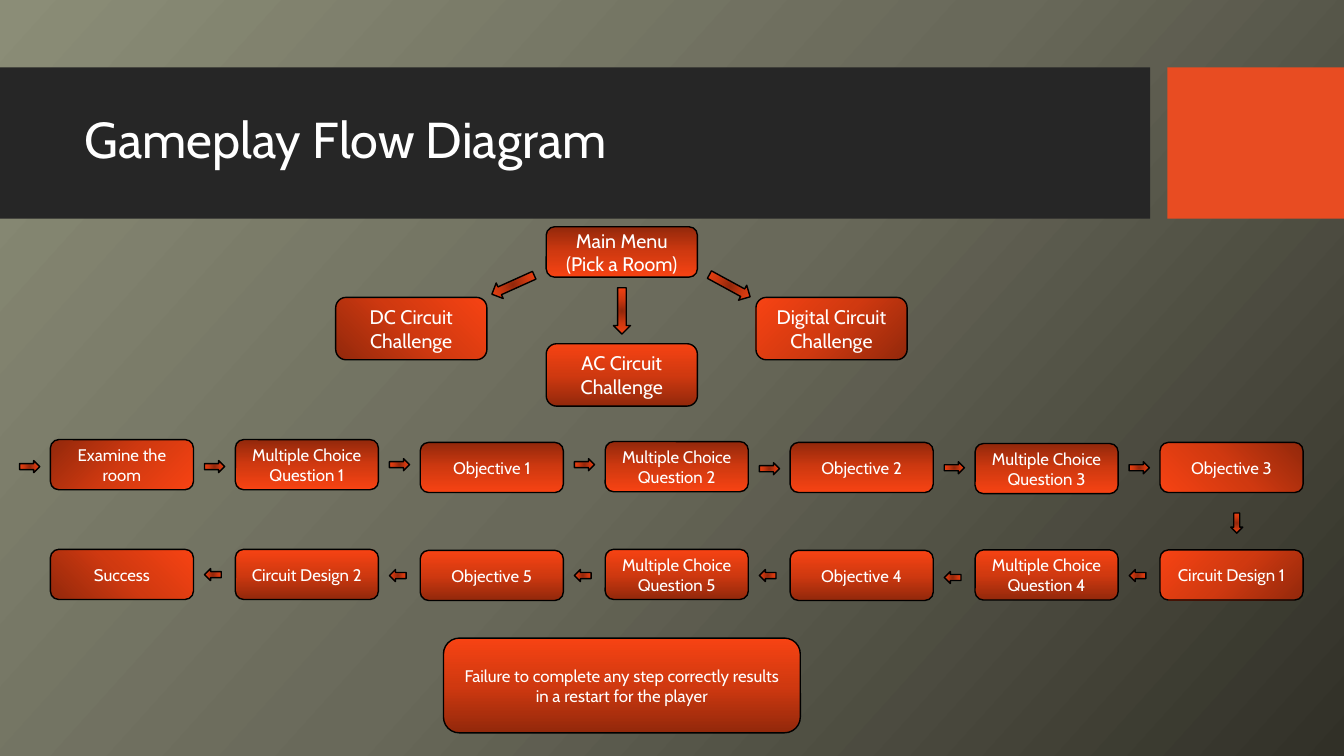
from dataclasses import dataclass

from lxml import etree
from pptx import Presentation
from pptx.dml.color import RGBColor
from pptx.enum.shapes import MSO_SHAPE
from pptx.enum.text import MSO_ANCHOR, MSO_AUTO_SIZE, PP_ALIGN
from pptx.oxml.ns import qn
from pptx.util import Pt

RECT = MSO_SHAPE.RECTANGLE
ROUND = MSO_SHAPE.ROUNDED_RECTANGLE
ARROW = MSO_SHAPE.RIGHT_ARROW
MIDDLE = MSO_ANCHOR.MIDDLE
CENTER, LEFT = PP_ALIGN.CENTER, PP_ALIGN.LEFT

BLACK = RGBColor(0x00, 0x00, 0x00)
WHITE = RGBColor(0xFF, 0xFF, 0xFF)
DARK = RGBColor(0x26, 0x26, 0x26)
ORANGE = RGBColor(0xE8, 0x4C, 0x22)
REDS = [RGBColor(0x92, 0x28, 0x0B), RGBColor(0xD0, 0x39, 0x10), RGBColor(0xF7, 0x43, 0x13)]
OLIVES = [RGBColor(0x8B, 0x8D, 0x77), RGBColor(0x69, 0x69, 0x5A), RGBColor(0x31, 0x30, 0x27)]

FONT = "Cabin"
MID = (50, 50, 50, 50)  # left, top, right, bottom of the glow's focus
CORNER = (100, 0, 0, 100)

# Grid of the two step rows
START, PITCH = 36, 132.1
WIDE, HIGH = 102.2, 35.8
LEAD = 22  # arrow starts this far before its box


@dataclass
class Box:
    text: str
    left: float
    top: float
    width: float
    height: float
    glow: int | tuple
    size: int = 14


@dataclass
class Arrow:
    left: float
    top: float
    width: float
    height: float
    turn: float = 0


@dataclass
class Step:
    text: str
    top: float
    glow: int | tuple
    mark: float | None  # top of the arrow before the box


MENU = [
    Box("Main Menu\n(Pick a Room)", 390.2, 162, 108, 36, 90),
    Box("DC Circuit Challenge", 239.8, 212.4, 108, 44.6, 315),
    Box("AC Circuit Challenge", 390.2, 245.5, 108, 44.6, 270),
    Box("Digital Circuit Challenge", 540, 212.4, 108, 44.6, 225),
    Box("Failure to complete any step correctly results in a restart for the player",
        316.8, 455.8, 254.9, 67.7, 270, 12),
]
LINKS = [
    Arrow(349.9, 197.3, 33.1, 12.2, 155.8),
    Arrow(427.7, 216, 33.1, 12.2, 90),
    Arrow(504.7, 198, 33.1, 12.2, 28.6),
    Arrow(876.2, 369.4, 14.4, 8.6, 90),
]

# Both rows are listed from left to right
FIRST = [
    Step("Examine the room", 314, 45, 329),
    Step("Multiple Choice Question 1", 314, 90, 329),
    Step("Objective 1", 316, 90, 327.6),
    Step("Multiple Choice Question 2", 315.4, 90, 327.6),
    Step("Objective 2", 316, 90, 330.5),
    Step("Multiple Choice Question 3", 316.8, 90, 329.8),
    Step("Objective 3", 316, CORNER, 329.8),
]
SECOND = [
    Step("Success", 392.4, 315, None),
    Step("Circuit Design 2", 392.4, 270, 406.1),
    Step("Objective 5", 393.1, 270, 406.8),
    Step("Multiple Choice Question 5", 392.4, 270, 406.8),
    Step("Objective 4", 393.1, 270, 406.8),
    Step("Multiple Choice Question 4", 392.8, 270, 408.2),
    Step("Circuit Design 1", 392.8, 225, 406.8),
]


def blend(owner, fill, tones: list, glow: int | tuple) -> None:
    """Three even stops, along an angle or around a focus."""
    fill.gradient()
    grad = owner.find(".//" + qn("a:gradFill"))
    for part in list(grad):
        grad.remove(part)
    stops = etree.SubElement(grad, qn("a:gsLst"))
    for i, tone in enumerate(tones):
        stop = etree.SubElement(stops, qn("a:gs"), pos=str(i * 50000))
        etree.SubElement(stop, qn("a:srgbClr"), val=str(tone))
    if isinstance(glow, tuple):
        ring = etree.SubElement(grad, qn("a:path"), {"path": "circle"})
        sides = {side: str(pct * 1000) for side, pct in zip("ltrb", glow)}
        etree.SubElement(ring, qn("a:fillToRect"), sides)
    else:
        etree.SubElement(grad, qn("a:lin"), ang=str(glow * 60000), scaled="0")


def place(slide, kind, item: Box | Arrow, glow: int | tuple):
    shape = slide.shapes.add_shape(
        kind, Pt(item.left), Pt(item.top), Pt(item.width), Pt(item.height))
    blend(shape.element, shape.fill, REDS, glow)
    shape.line.color.rgb = BLACK
    shape.line.width = Pt(1)
    shape.shadow.inherit = False
    return shape


def draw_box(slide, box: Box) -> None:
    frame = place(slide, ROUND, box, box.glow).text_frame
    frame.text = box.text
    frame.word_wrap = True
    frame.vertical_anchor = MIDDLE
    for para in frame.paragraphs:
        para.alignment = CENTER
        style(para, box.size)


def draw_arrow(slide, arrow: Arrow) -> None:
    place(slide, ARROW, arrow, MID).rotation = arrow.turn


def draw_row(slide, steps: list[Step], length: float, turn: float) -> None:
    for i, step in enumerate(steps):
        left = START + i * PITCH
        draw_box(slide, Box(step.text, left, step.top, WIDE, HIGH, step.glow, 12))
        if step.mark is not None:
            draw_arrow(slide, Arrow(left - LEAD, step.mark, length, 8.6, turn))


def style(para, size: int) -> None:
    para.font.name = FONT
    para.font.size = Pt(size)
    para.font.color.rgb = WHITE


def draw_head(slide) -> None:
    title = slide.shapes.title
    # Bars go behind the title
    for left, width, tone in ((0, 821.5, DARK), (833.8, 126.2, ORANGE)):
        bar = slide.shapes.add_shape(RECT, Pt(left), Pt(48.2), Pt(width), Pt(108))
        bar.fill.solid()
        bar.fill.fore_color.rgb = tone
        bar.line.fill.background()
        bar.shadow.inherit = False
        title.element.addprevious(bar.element)
    title.left, title.top, title.width, title.height = Pt(53.3), Pt(59), Pt(756.7), Pt(85)
    frame = title.text_frame
    frame.text = "Gameplay Flow Diagram"
    frame.word_wrap = True
    frame.auto_size = MSO_AUTO_SIZE.NONE
    frame.vertical_anchor = MIDDLE
    para = frame.paragraphs[0]
    para.alignment = LEFT
    para.line_spacing = 0.9
    style(para, 36)


def main() -> None:
    deck = Presentation()
    deck.slide_width, deck.slide_height = Pt(960), Pt(540)
    slide = deck.slides.add_slide(deck.slide_layouts[5])

    # Background and title band
    blend(slide.element, slide.background.fill, OLIVES, 42)
    draw_head(slide)

    # Room menu and closing note
    for box in MENU:
        draw_box(slide, box)
    for arrow in LINKS:
        draw_arrow(slide, arrow)

    # Steps run right, then back left
    draw_row(slide, FIRST, 14.4, 0)
    draw_row(slide, SECOND, 11.9, 180)
    deck.save("out.pptx")


if __name__ == "__main__":
    main()
